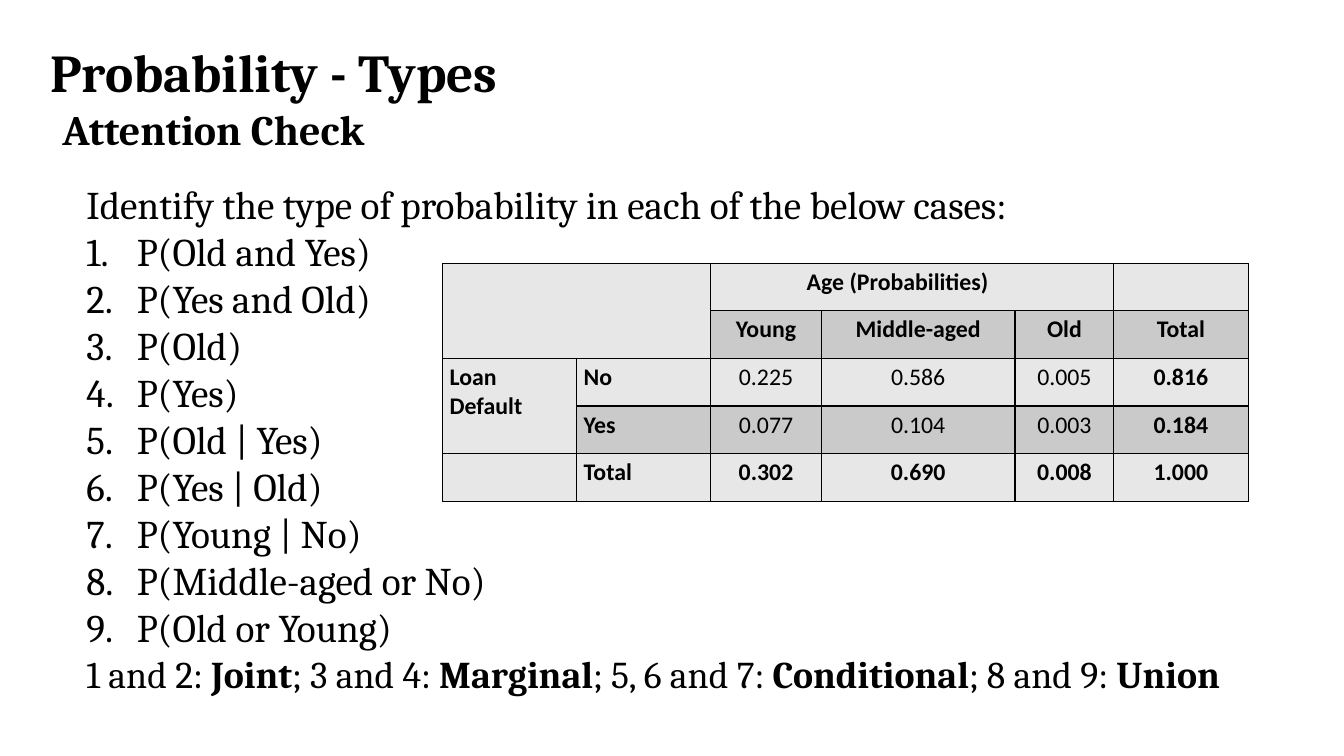
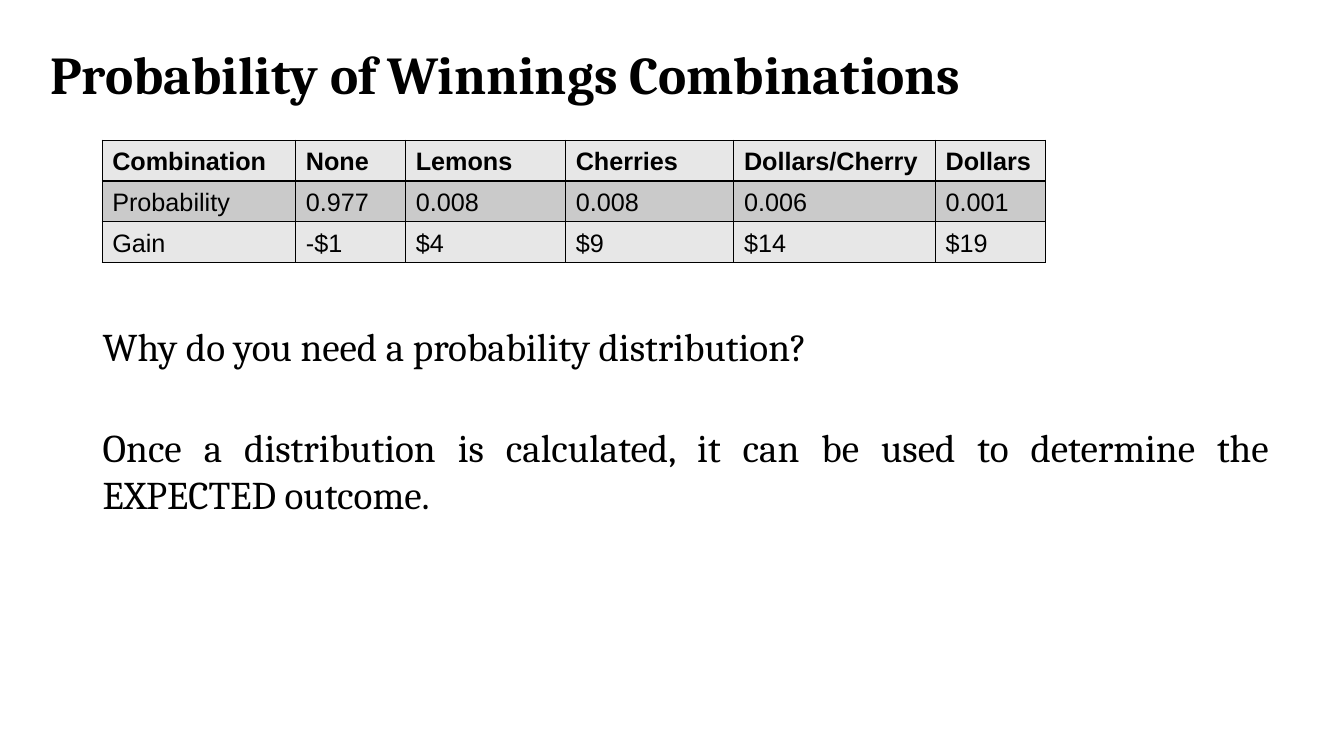
"""Build two slides on types of probability and winnings combinations."""
from lxml import etree
from pptx import Presentation
from pptx import util as u
from pptx.dml import color
from pptx.enum import text
from pptx.oxml import ns

COLORS = {"ink": "000000", "light": "E7E7E7", "dark": "CACACA"}
LEFT, CENTER, JUSTIFY = text.PP_ALIGN.LEFT, text.PP_ALIGN.CENTER, text.PP_ALIGN.JUSTIFY


def rgb(name):
    return color.RGBColor.from_string(COLORS[name])


def write(tf, content, size=28, font="Cambria", bold=False, align=LEFT,
          before=0, spacing=1.0, left=0, hanging=0, numbered=False):
    p = tf.paragraphs[0]
    if p.runs:
        p = tf.add_paragraph()
    pPr = p._p.get_or_add_pPr()
    pPr.set("marL", str(u.Cm(left)))
    pPr.set("indent", str(-u.Cm(hanging)))
    if numbered:
        etree.SubElement(pPr, ns.qn("a:buAutoNum"), type="arabicPeriod")
    p.alignment = align
    p.line_spacing = spacing
    if before:
        p.space_before = u.Pt(before)
    for i, part in enumerate(content.split("**")):
        if part:
            r = p.add_run()
            r.text = part
            r.font.name = font
            r.font.size = u.Pt(size)
            r.font.bold = bold or i % 2 == 1
            r.font.color.rgb = rgb("ink")


class Deck:
    def __init__(self):
        self.prs = Presentation()
        self.prs.slide_width, self.prs.slide_height = u.Cm(33.87), u.Cm(19.05)
        self.s = None

    def slide(self, title, top):
        self.s = self.prs.slides.add_slide(self.prs.slide_layouts[6])
        tf = self.box(1.02, top, 31.83, 1.98, inset=(0.25, 0.13))
        tf.vertical_anchor = text.MSO_ANCHOR.MIDDLE
        write(tf, title, size=38, bold=True, spacing=0.9)

    def box(self, x, y, w, h, inset=(0, 0)):
        tf = self.s.shapes.add_textbox(*map(u.Cm, (x, y, w, h))).text_frame
        tf.word_wrap = True
        tf.margin_left = tf.margin_right = u.Cm(inset[0])
        tf.margin_top = tf.margin_bottom = u.Cm(inset[1])
        return tf

    def borders(self, cell, edges):
        tcPr = cell._tc.get_or_add_tcPr()
        for i, (side, width) in enumerate(edges.items()):
            ln = etree.Element(ns.qn("a:ln" + side), w=str(u.Pt(width)))
            fill = etree.SubElement(ln, ns.qn("a:solidFill"))
            etree.SubElement(fill, ns.qn("a:srgbClr"), val=COLORS["ink"])
            tcPr.insert(i, ln)

    def table(self, x, y, widths, height, rows, merges=(), outer=0.5,
              margin=(0.18, 0.11), size=17, font="Calibri", center_from=99):
        n_rows, n_cols = len(rows), len(widths)
        tbl = self.s.shapes.add_table(n_rows, n_cols, u.Cm(x), u.Cm(y),
                                      u.Cm(sum(widths)), u.Cm(height * n_rows)).table
        tbl.first_row = tbl.horz_banding = False
        for col, w in zip(tbl.columns, widths):
            col.width = u.Cm(w)
        for row in tbl.rows:
            row.height = u.Cm(height)
        for first, last in merges:
            tbl.cell(*first).merge(tbl.cell(*last))
        for i, row in enumerate(rows):
            for j, content in enumerate(row):
                cell = tbl.cell(i, j)
                cell.fill.solid()
                cell.fill.fore_color.rgb = rgb("dark" if i % 2 else "light")
                cell.margin_left, cell.margin_top = map(u.Cm, margin)
                cell.margin_right, cell.margin_bottom = u.Cm(0.18), 0
                if cell.is_spanned:
                    continue
                right = j + (cell.span_width if cell.is_merge_origin else 1)
                bottom = i + (cell.span_height if cell.is_merge_origin else 1)
                self.borders(cell, {"L": 1 if j else outer,
                                    "R": 1 if right < n_cols else outer,
                                    "T": 1 if i else outer,
                                    "B": 1 if bottom < n_rows else outer})
                write(cell.text_frame, content, size=size, font=font,
                      align=CENTER if j >= center_from else LEFT)
        return tbl


def types_slide(deck):
    deck.slide("Probability - Types", 0.91)
    tf = deck.box(1.57, 2.62, 31.27, 15)
    write(tf, "Attention Check", size=30, bold=True)
    write(tf, "Identify the type of probability in each of the below cases:",
          before=18.4, left=0.61)
    for case in ("Old and Yes", "Yes and Old", "Old", "Yes", "Old | Yes",
                 "Yes | Old", "Young | No", "Middle-aged or No", "Old or Young"):
        write(tf, f"P({case})", left=1.88, hanging=1.27, numbered=True)
    write(tf, "1 and 2: **Joint**; 3 and 4: **Marginal**; 5, 6 and 7: "
          "**Conditional**; 8 and 9: **Union**", size=27, left=0.61)
    rows = [
        ("", "", "**Age (Probabilities)**", "", "", ""),
        ("", "", "**Young**", "**Middle-aged**", "**Old**", "**Total**"),
        ("**Loan Default**", "**No**", "0.225", "0.586", "0.005", "**0.816**"),
        ("", "**Yes**", "0.077", "0.104", "0.003", "**0.184**"),
        ("", "**Total**", "**0.302**", "**0.690**", "**0.008**", "**1.000**"),
    ]
    tbl = deck.table(11.15, 6.63, (3.38, 3.38, 2.79, 4.88, 2.49, 3.38), 1.2, rows,
                     merges=[((0, 0), (1, 1)), ((0, 2), (0, 4)), ((2, 0), (3, 0))],
                     center_from=2)
    age = tbl.cell(0, 2)
    age.margin_left = u.Cm(2.42)
    age.text_frame.paragraphs[0].alignment = LEFT


def winnings_slide(deck):
    deck.slide("Probability of Winnings Combinations", 0.97)
    rows = [
        ("**Combination**", "**None**", "**Lemons**", "**Cherries**",
         "**Dollars/Cherry**", "**Dollars**"),
        ("Probability", "0.977", "0.008", "0.008", "0.006", "0.001"),
        ("Gain", "-$1", "$4", "$9", "$14", "$19"),
    ]
    deck.table(2.57, 3.53, (4.88, 2.77, 4.03, 4.24, 5.08, 2.77), 1.03, rows,
               outer=0.75, margin=(0.26, 0.2), size=18, font="Arial")
    tf = deck.box(2.57, 8.13, 29.41, 4.95)
    write(tf, "Why do you need a probability distribution?", align=JUSTIFY, left=0.02)
    write(tf, "Once a distribution is calculated, it can be used to determine "
          "the EXPECTED outcome.", align=JUSTIFY, before=38, left=0.02)


def main():
    deck = Deck()
    types_slide(deck)
    winnings_slide(deck)
    deck.prs.save("out.pptx")


if __name__ == "__main__":
    main()
